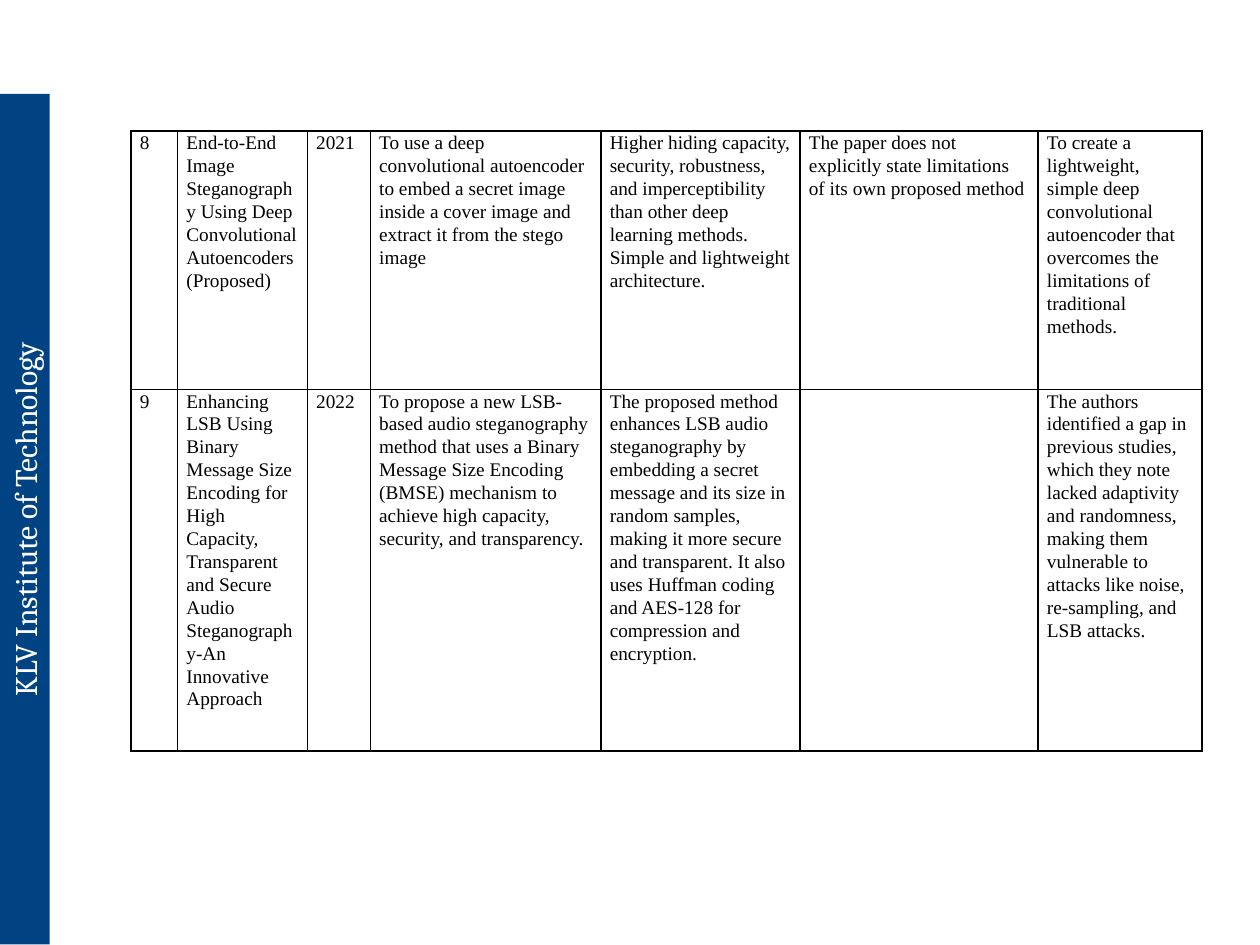
"""Build a literature survey table slide with a vertical institute banner."""
from dataclasses import dataclass

from lxml.etree import SubElement
from pptx import Presentation
from pptx.dml.color import RGBColor
from pptx.enum.text import MSO_ANCHOR, PP_ALIGN
from pptx.oxml.ns import qn
from pptx.util import Inches, Pt


@dataclass(frozen=True)
class Theme:
    banner: RGBColor = RGBColor.from_string("004282")
    white: RGBColor = RGBColor.from_string("FFFFFF")
    black: RGBColor = RGBColor.from_string("000000")
    banner_font: str = "Cambria"
    table_font: str = "Times New Roman"
    banner_size: int = 18
    table_size: int = 11
    border_width: int = 1


def set_font(paragraph, name, size, color):
    paragraph.font.name = name
    paragraph.font.size = Pt(size)
    paragraph.font.color.rgb = color


def add_borders(cell, color, width):
    properties = cell._tc.get_or_add_tcPr()
    for position, side in enumerate(("a:lnL", "a:lnR", "a:lnT", "a:lnB")):
        line = SubElement(properties, qn(side), w=str(Pt(width)))
        fill = SubElement(line, qn("a:solidFill"))
        SubElement(fill, qn("a:srgbClr"), val=str(color))
        properties.insert(position, line)


theme = Theme()
column_widths = [0.37, 1.03, 0.5, 1.83, 1.58, 1.89, 1.3]
row_heights = [2.05, 2.87]
papers = [
    [
        "8",
        "End-to-End Image Steganography Using Deep Convolutional Autoencoders (Proposed)",
        "2021",
        "To use a deep convolutional autoencoder to embed a secret image inside a cover image "
        "and extract it from the stego image",
        "Higher hiding capacity, security, robustness, and imperceptibility than other deep "
        "learning methods. Simple and lightweight architecture.",
        "The paper does not explicitly state limitations of its own proposed method",
        "To create a lightweight, simple deep convolutional autoencoder that overcomes the "
        "limitations of traditional methods.",
    ],
    [
        "9",
        "Enhancing LSB Using Binary Message Size Encoding for High Capacity, Transparent and "
        "Secure Audio Steganography-An Innovative Approach",
        "2022",
        "To propose a new LSB-based audio steganography method that uses a Binary Message Size "
        "Encoding (BMSE) mechanism to achieve high capacity, security, and transparency.",
        "The proposed method enhances LSB audio steganography by embedding a secret message and "
        "its size in random samples, making it more secure and transparent. It also uses "
        "Huffman coding and AES-128 for compression and encryption.",
        "",
        "The authors identified a gap in previous studies, which they note lacked adaptivity "
        "and randomness, making them vulnerable to attacks like noise, re-sampling, and LSB "
        "attacks.",
    ],
]

presentation = Presentation()
presentation.slide_width = Inches(10)
presentation.slide_height = Inches(7.5)
slide = presentation.slides.add_slide(presentation.slide_layouts[6])

banner = slide.shapes.add_shape(1, Inches(-3.18), Inches(3.92), Inches(6.75), Inches(0.4))
banner.rotation = 270
banner.shadow.inherit = False
banner.fill.solid()
banner.fill.fore_color.rgb = theme.banner
banner.line.fill.background()
banner.text_frame.vertical_anchor = MSO_ANCHOR.MIDDLE
paragraph = banner.text_frame.paragraphs[0]
paragraph.text = "KLV Institute of Technology"
paragraph.alignment = PP_ALIGN.CENTER
set_font(paragraph, theme.banner_font, theme.banner_size, theme.white)

table = slide.shapes.add_table(
    len(row_heights), len(column_widths),
    Inches(1.04), Inches(1.04), Inches(sum(column_widths)), Inches(sum(row_heights)),
).table
table.first_row = False
table.horz_banding = False
for column, width in zip(table.columns, column_widths):
    column.width = Inches(width)

for row, height, texts in zip(table.rows, row_heights, papers):
    row.height = Inches(height)
    for cell, text in zip(row.cells, texts):
        cell.margin_left = cell.margin_right = Inches(0.07)
        cell.margin_top = cell.margin_bottom = 0
        cell.fill.solid()
        cell.fill.fore_color.rgb = theme.white
        add_borders(cell, theme.black, theme.border_width)
        paragraph = cell.text_frame.paragraphs[0]
        paragraph.text = text
        paragraph.line_spacing = 1.07
        paragraph.space_after = Pt(8)
        set_font(paragraph, theme.table_font, theme.table_size, theme.black)

presentation.save("out.pptx")
